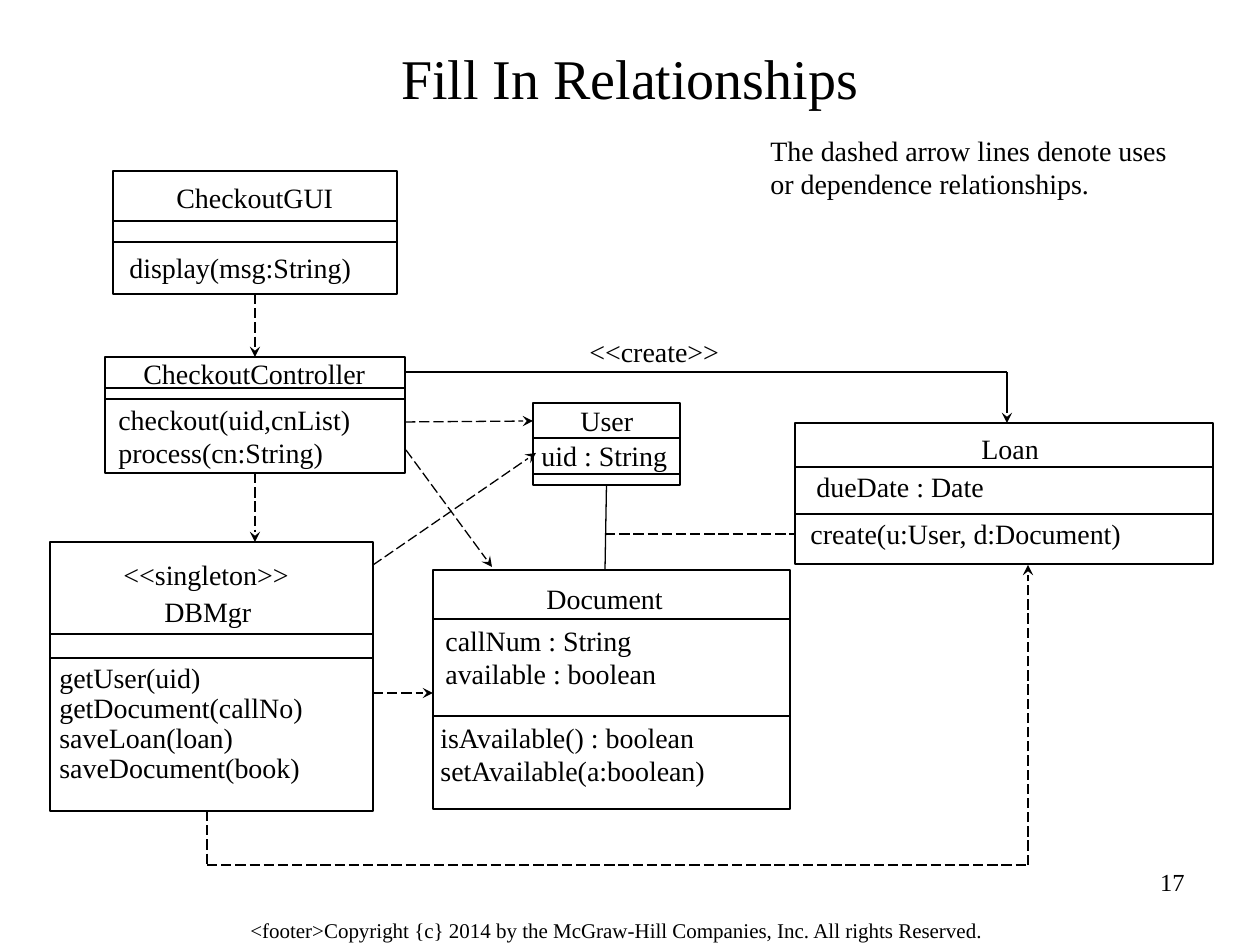
from typing import NamedTuple, Optional

from pptx import Presentation
from pptx.dml.color import RGBColor
from pptx.enum.dml import MSO_LINE
from pptx.enum.shapes import MSO_CONNECTOR, MSO_SHAPE
from pptx.enum.text import MSO_ANCHOR, MSO_AUTO_SIZE, PP_ALIGN
from pptx.oxml.ns import qn
from pptx.util import Pt
from lxml.etree import SubElement

SCALE = 914400 / 126
FONT = "Times New Roman"
COLORS = {"ink": "000000", "paper": "FFFFFF"}
INK = RGBColor.from_string(COLORS["ink"])


class Box(NamedTuple):
    name: str
    x: int
    y: int
    w: int
    h: int
    rules: tuple[int, ...]


class Label(NamedTuple):
    text: str
    x: int
    y: int
    w: int
    h: int
    wrap: bool = False
    size: int = 16
    align: PP_ALIGN = PP_ALIGN.LEFT
    anchor: MSO_ANCHOR = MSO_ANCHOR.TOP
    space: float = 1.0


class Link(NamedTuple):
    x1: int
    y1: int
    x2: int
    y2: int
    dash: bool = True
    arrow: bool = True
    start: Optional[tuple[str, int]] = None
    end: Optional[tuple[str, int]] = None


BOXES = [
    Box("CheckoutGUI", 113, 171, 284, 123, (221, 242)),
    Box("CheckoutController", 105, 357, 300, 116, (388, 399)),
    Box("User", 533, 403, 147, 82, (438, 474)),
    Box("Loan", 795, 423, 418, 141, (467, 514)),
    Box("DBMgr", 50, 542, 323, 269, (634, 658)),
    Box("Document", 433, 570, 357, 239, (619, 716)),
]

LABELS = [
    Label("Fill In Relationships", 63, 38, 1134, 78, True, 32, PP_ALIGN.CENTER, MSO_ANCHOR.MIDDLE),
    Label("The dashed arrow lines denote uses or dependence relationships.", 758, 127, 435, 81, True),
    Label("CheckoutGUI", 164, 174, 185, 47),
    Label("display(msg:String)", 117, 244, 251, 47),
    Label("CheckoutController", 131, 350, 251, 47),
    Label("checkout(uid,cnList)\nprocess(cn:String)", 106, 396, 261, 81),
    Label("<<create>>", 577, 328, 159, 47),
    Label("User", 568, 397, 82, 47),
    Label("uid : String", 529, 432, 155, 47, True),
    Label("Loan", 969, 425, 86, 47),
    Label("dueDate : Date", 804, 463, 197, 47),
    Label("create(u:User, d:Document)", 798, 510, 432, 47, True),
    Label("<<singleton>>", 111, 551, 194, 47),
    Label("DBMgr", 152, 588, 116, 47),
    Label("getUser(uid)\ngetDocument(callNo)\nsaveLoan(loan)\nsaveDocument(book)",
          47, 658, 272, 134, space=0.9),
    Label("Document", 534, 575, 145, 47),
    Label("callNum : String\navailable : boolean", 433, 617, 296, 81, True),
    Label("isAvailable() : boolean\nsetAvailable(a:boolean)", 428, 714, 359, 81, True),
    Label("17", 903, 861, 294, 66, True, 14, PP_ALIGN.RIGHT),
    Label("<footer>Copyright {c} 2014 by the McGraw-Hill Companies, Inc. All rights Reserved.",
          238, 911, 780, 39, True, 12),
]

LINKS = [
    Link(255, 294, 255, 357, start=("CheckoutGUI", 2), end=("CheckoutController", 0)),
    Link(255, 473, 255, 542, start=("CheckoutController", 2)),
    Link(373, 693, 433, 693),
    Link(606, 485, 605, 570, dash=False, arrow=False, start=("User", 2)),
    Link(605, 534, 795, 534, arrow=False),
    Link(405, 422, 533, 421),
    Link(373, 565, 536, 453),
    Link(406, 450, 492, 567),
    Link(207, 811, 207, 865, arrow=False),
    Link(207, 865, 1028, 865, arrow=False),
    Link(1028, 865, 1028, 565),
    Link(405, 372, 1007, 372, dash=False, arrow=False),
    Link(1007, 372, 1007, 423, dash=False),
]


def px(num: int) -> int:
    return round(num * SCALE)


def draw_link(slide, link: Link, shapes: dict) -> None:
    line = slide.shapes.add_connector(
        MSO_CONNECTOR.STRAIGHT, px(link.x1), px(link.y1), px(link.x2), px(link.y2))
    if link.start:
        name, side = link.start
        line.begin_connect(shapes[name], side)
    if link.end:
        name, side = link.end
        line.end_connect(shapes[name], side)
    line.line.width = Pt(0.75)
    line.line.color.rgb = INK
    if link.dash:
        line.line.dash_style = MSO_LINE.LONG_DASH
    props = line._element.spPr
    if link.arrow:
        SubElement(props.find(qn("a:ln")), qn("a:tailEnd"), type="stealth")
    SubElement(props, qn("a:effectLst"))


def draw_box(slide, box: Box):
    shape = slide.shapes.add_shape(
        MSO_SHAPE.RECTANGLE, px(box.x), px(box.y), px(box.w), px(box.h))
    shape.shadow.inherit = False
    shape.fill.background()
    shape.line.color.rgb = INK
    shape.line.width = Pt(0.75)
    for y in box.rules:
        draw_link(slide, Link(box.x, y, box.x + box.w, y, False, False), {})
    return shape


def draw_label(slide, label: Label) -> None:
    box = slide.shapes.add_textbox(px(label.x), px(label.y), px(label.w), px(label.h))
    frame = box.text_frame
    frame.text = label.text
    frame.word_wrap = label.wrap
    frame.vertical_anchor = label.anchor
    if not label.wrap:
        frame.auto_size = MSO_AUTO_SIZE.SHAPE_TO_FIT_TEXT
    for para in frame.paragraphs:
        para.alignment = label.align
        para.line_spacing = label.space
        for run in para.runs:
            run.font.name = FONT
            run.font.size = Pt(label.size)
            run.font.color.rgb = INK


def main() -> None:
    """Build the class diagram slide and save it."""
    deck = Presentation()
    deck.slide_width, deck.slide_height = px(1260), px(945)
    slide = deck.slides.add_slide(deck.slide_layouts[6])
    fill = slide.background.fill
    fill.solid()
    fill.fore_color.rgb = RGBColor.from_string(COLORS["paper"])
    shapes = {box.name: draw_box(slide, box) for box in BOXES}
    for link in LINKS:
        draw_link(slide, link, shapes)
    for label in LABELS:
        draw_label(slide, label)
    deck.save("out.pptx")


if __name__ == "__main__":
    main()
